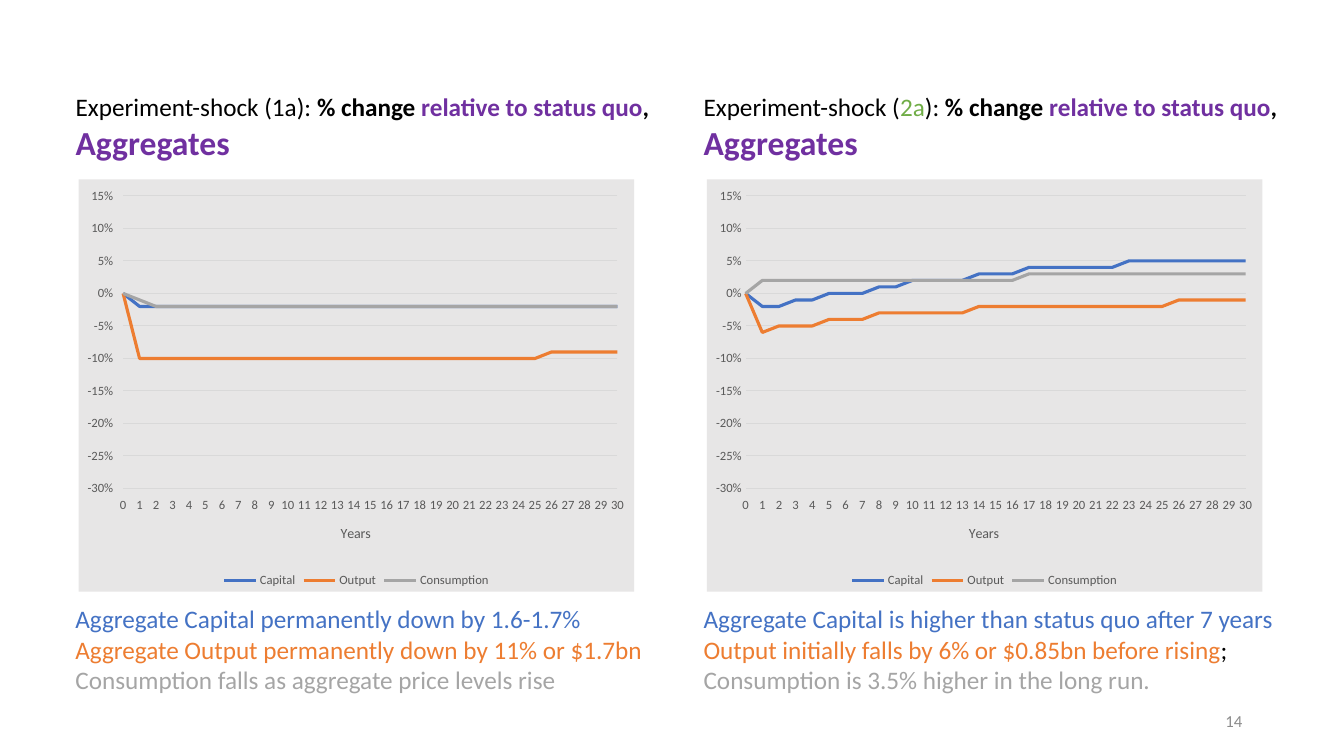
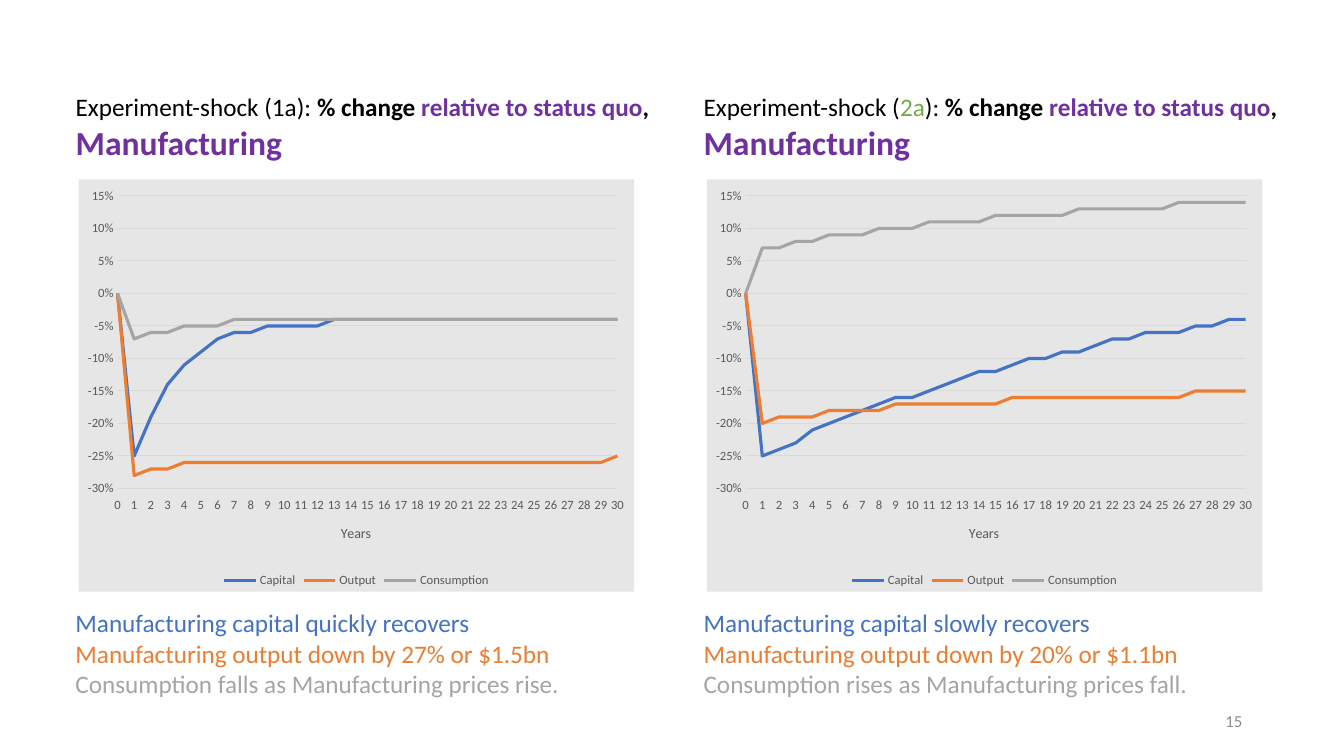
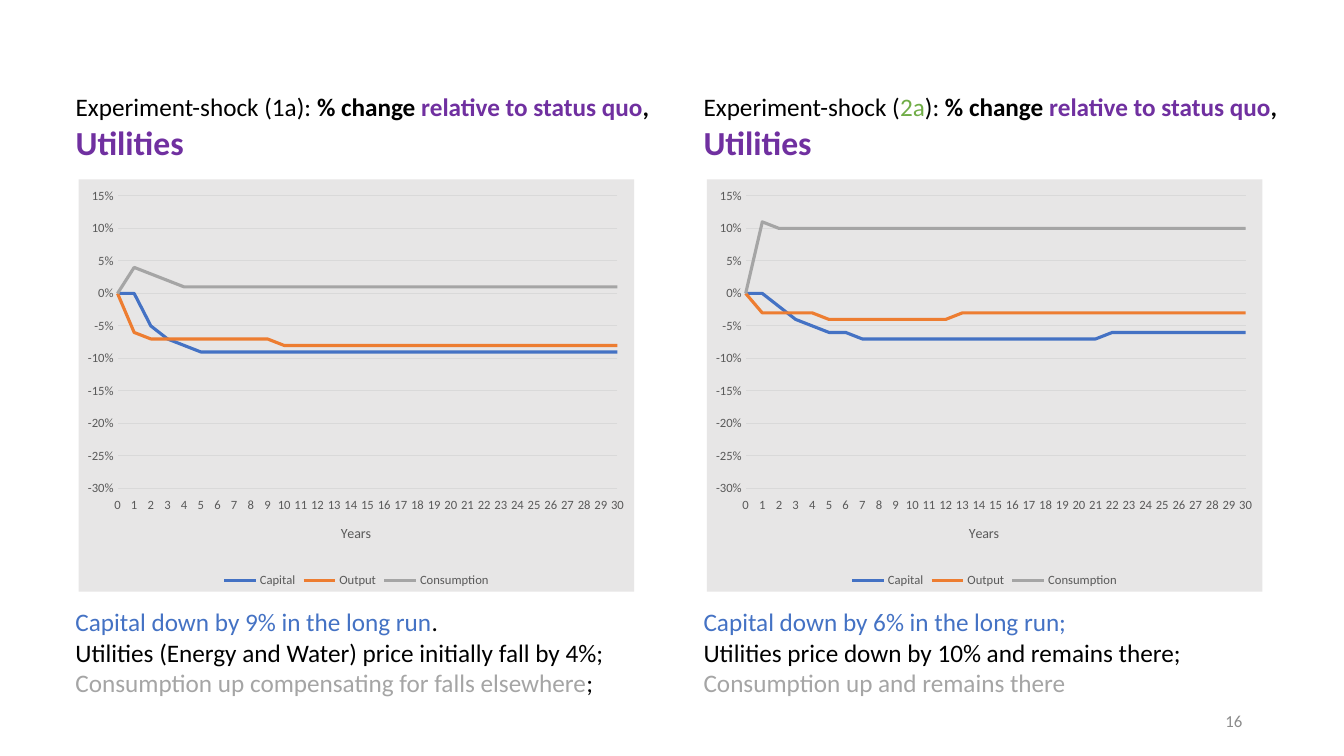
"""Build three slides that compare two shock experiments with line charts."""
from lxml import etree
from pptx import Presentation
from pptx.chart.data import CategoryChartData as ChartData
from pptx.dml.color import RGBColor as RGB
from pptx.enum.chart import XL_CHART_TYPE as Kind, XL_LEGEND_POSITION as Legend
from pptx.enum.chart import XL_TICK_LABEL_POSITION as Label, XL_TICK_MARK as Tick
from pptx.enum.text import MSO_ANCHOR as Anchor, MSO_AUTO_SIZE as Fit, PP_ALIGN as Align
from pptx.oxml import parse_xml
from pptx.oxml.ns import nsdecls, qn
from pptx.util import Inches, Pt

FONT = "Calibri"
BLACK = RGB(0, 0, 0)
BLUE = RGB(0x44, 0x72, 0xC4)
ORANGE = RGB(0xED, 0x7D, 0x31)
GRAY = RGB(0xA5, 0xA5, 0xA5)
PURPLE = RGB(0x70, 0x30, 0xA0)
GREEN = RGB(0x70, 0xAD, 0x47)
PANEL = RGB(0xE7, 0xE6, 0xE6)
GRID = RGB(0xD9, 0xD9, 0xD9)
INK = RGB(0x59, 0x59, 0x59)
PALE = RGB(0x8C, 0x8C, 0x8C)

LEFT, STEP = 0.65, 6.23
FIRST = 14
YEARS = [str(year) for year in range(31)]
SERIES = [("Capital", BLUE), ("Output", ORANGE), ("Consumption", GRAY)]
SHOCKS = [("1a", BLACK), ("2a", GREEN)]

SLIDES = [
    {
        "topic": "Aggregates",
        "top": 5.94,
        "sides": [
            {
                "tick": Tick.OUTSIDE,
                "notes": [
                    [("Aggregate Capital permanently down by 1.6-1.7%", BLUE)],
                    [("Aggregate Output permanently down by 11% or $1.7bn", ORANGE)],
                    [("Consumption falls as aggregate price levels rise", GRAY)],
                ],
                "percent": [
                    [0] + [-2] * 30,
                    [0] + [-10] * 25 + [-9] * 5,
                    [0, -1] + [-2] * 29,
                ],
            },
            {
                "tick": Tick.NONE,
                "notes": [
                    [("Aggregate Capital is higher than status quo after 7 years", BLUE)],
                    [("Output initially falls by 6% or $0.85bn before rising", ORANGE),
                     ("; ", BLACK),
                     ("Consumption is 3.5% higher in the long run.", GRAY)],
                ],
                "percent": [
                    [0, -2, -2, -1, -1, 0, 0, 0, 1, 1, 2, 2, 2, 2, 3, 3,
                     3, 4, 4, 4, 4, 4, 4, 5, 5, 5, 5, 5, 5, 5, 5],
                    [0, -6, -5, -5, -5, -4, -4, -4] + [-3] * 6 + [-2] * 12 + [-1] * 5,
                    [0] + [2] * 16 + [3] * 14,
                ],
            },
        ],
    },
    {
        "topic": "Manufacturing",
        "top": 5.98,
        "sides": [
            {
                "tick": Tick.NONE,
                "notes": [
                    [("Manufacturing capital quickly recovers", BLUE)],
                    [("Manufacturing output down by 27% or $1.5bn", ORANGE)],
                    [("Consumption falls as Manufacturing prices rise.", GRAY)],
                ],
                "percent": [
                    [0, -25, -19, -14, -11, -9, -7, -6, -6] + [-5] * 4 + [-4] * 18,
                    [0, -28, -27, -27] + [-26] * 26 + [-25],
                    [0, -7, -6, -6, -5, -5, -5] + [-4] * 24,
                ],
            },
            {
                "tick": Tick.NONE,
                "notes": [
                    [("Manufacturing capital slowly recovers", BLUE)],
                    [("Manufacturing output down by 20% or $1.1bn", ORANGE)],
                    [("Consumption rises as Manufacturing prices fall.", GRAY)],
                ],
                "percent": [
                    [0, -25, -24, -23, -21, -20, -19, -18, -17, -16, -16,
                     -15, -14, -13, -12, -12, -11, -10, -10, -9, -9,
                     -8, -7, -7, -6, -6, -6, -5, -5, -4, -4],
                    [0, -20, -19, -19, -19] + [-18] * 4 + [-17] * 7 + [-16] * 11 + [-15] * 4,
                    [0, 7, 7, 8, 8, 9, 9, 9, 10, 10, 10, 11, 11, 11, 11]
                    + [12] * 5 + [13] * 6 + [14] * 5,
                ],
            },
        ],
    },
    {
        "topic": "Utilities",
        "top": 5.97,
        "sides": [
            {
                "tick": Tick.NONE,
                "notes": [
                    [("Capital down by 9% in the long run", BLUE), (".", BLACK)],
                    [("Utilities (Energy and Water) price initially fall by 4%;", BLACK)],
                    [("Consumption up compensating for falls elsewhere", GRAY), (";", BLACK)],
                ],
                "percent": [
                    [0, 0, -5, -7, -8] + [-9] * 26,
                    [0, -6] + [-7] * 8 + [-8] * 21,
                    [0, 4, 3, 2] + [1] * 27,
                ],
            },
            {
                "tick": Tick.NONE,
                "notes": [
                    [("Capital down by 6% in the long run;", BLUE)],
                    [("Utilities price down by 10% and remains there;", BLACK)],
                    [("Consumption up and remains there", GRAY)],
                ],
                "percent": [
                    [0, 0, -2, -4, -5, -6, -6] + [-7] * 15 + [-6] * 9,
                    [0] + [-3] * 4 + [-4] * 8 + [-3] * 18,
                    [0, 11] + [10] * 29,
                ],
            },
        ],
    },
]


def place(shape, left, top, width, height):
    """Move and size a shape, in inches."""
    shape.left, shape.top = Inches(left), Inches(top)
    shape.width, shape.height = Inches(width), Inches(height)


def write(frame, lines, sizes, align=Align.LEFT):
    """Fill a text frame with lines of (text, colour[, bold]) runs."""
    for row, (line, size) in enumerate(zip(lines, sizes)):
        para = frame.paragraphs[0] if row == 0 else frame.add_paragraph()
        para.alignment = align
        para.font.name, para.font.size = FONT, Pt(size)
        for text, color, *bold in line:
            run = para.add_run()
            run.text = text
            run.font.color.rgb = color
            if bold:
                run.font.bold = bold[0]


def add_box(slide, *spot):
    """Add an empty text box."""
    return slide.shapes.add_textbox(*map(Inches, spot))


def add_head(shape, shock, topic):
    """Write the heading above one chart."""
    frame = shape.text_frame
    frame.word_wrap = False
    frame.auto_size = Fit.SHAPE_TO_FIT_TEXT
    frame.vertical_anchor = Anchor.TOP
    name, color = shock
    write(frame, [
        [("Experiment-shock (", BLACK), (name, color), ("): ", BLACK),
         ("% change ", BLACK, True), ("relative to status quo", PURPLE, True),
         (",", BLACK, True)],
        [(topic, PURPLE, True)],
    ], [18, 24])


def set_line(line, color, width):
    """Colour a line and set its width."""
    line.color.rgb, line.width = color, Pt(width)


def set_frame(chart, plot_left):
    """Fill the chart panel, fix the plot area and start lines on the axis."""
    root = chart.element
    root.find(qn("c:txPr")).addprevious(parse_xml(
        f'<c:spPr {nsdecls("c", "a")}><a:solidFill><a:srgbClr val="{PANEL}"/>'
        '</a:solidFill><a:ln><a:noFill/></a:ln></c:spPr>'))
    area = root.xpath(".//c:plotArea")[0]
    for old in area.findall(qn("c:layout")):
        area.remove(old)
    layout = etree.Element(qn("c:layout"))
    manual = etree.SubElement(layout, qn("c:manualLayout"))
    for tag, val in [("layoutTarget", "inner"), ("xMode", "edge"), ("yMode", "edge"),
                     ("x", plot_left), ("y", 0.04), ("w", 0.97 - plot_left), ("h", 0.71)]:
        etree.SubElement(manual, qn(f"c:{tag}")).set("val", str(val))
    area.insert(0, layout)
    for axis in area.findall(qn("c:valAx")):
        for old in axis.findall(qn("c:crossBetween")):
            axis.remove(old)
        cross = etree.Element(qn("c:crossBetween"))
        cross.set("val", "midCat")
        axis.find(qn("c:crosses")).addnext(cross)


def add_graph(slide, left, side):
    """Add one line chart."""
    data = ChartData(number_format="0%")
    data.categories = YEARS
    for (name, _), vals in zip(SERIES, side["percent"]):
        data.add_series(name, [val / 100 for val in vals])
    spot = map(Inches, (left, 1.78, 5.51, 4.09))
    chart = slide.shapes.add_chart(Kind.LINE, *spot, data).chart
    chart.has_title = False
    chart.font.name, chart.font.size = FONT, Pt(9)
    chart.font.color.rgb = INK
    chart.has_legend = True
    chart.legend.position = Legend.BOTTOM
    chart.legend.include_in_layout = False
    chart.plots[0].vary_by_categories = False
    for line, (_, color) in zip(chart.plots[0].series, SERIES):
        line.smooth = False
        set_line(line.format.line, color, 2.25)

    years = chart.category_axis
    years.tick_label_position = Label.LOW
    years.major_tick_mark = years.minor_tick_mark = Tick.NONE
    years.has_major_gridlines = False
    set_line(years.format.line, GRID, 0.75)
    para = years.axis_title.text_frame.paragraphs[0]
    para.text = "Years"
    para.font.name, para.font.size, para.font.bold = FONT, Pt(10), False
    para.font.color.rgb = INK

    change = chart.value_axis
    change.minimum_scale, change.maximum_scale = -0.3, 0.15
    change.major_unit = 0.05
    change.major_tick_mark, change.minor_tick_mark = side["tick"], Tick.NONE
    change.tick_labels.number_format = "0%"
    change.tick_labels.number_format_is_linked = False
    change.format.line.fill.background()
    change.has_major_gridlines = True
    set_line(change.major_gridlines.format.line, GRID, 0.75)
    set_frame(chart, 0.07 if side["tick"] == Tick.NONE else 0.08)


def main():
    """Build and save the deck."""
    deck = Presentation()
    deck.slide_width, deck.slide_height = Inches(13.33), Inches(7.5)
    for number, page in enumerate(SLIDES, FIRST):
        slide = deck.slides.add_slide(deck.slide_layouts[5])
        for col, (shock, side) in enumerate(zip(SHOCKS, page["sides"])):
            left = LEFT + col * STEP
            spot = (left, 0.86, 5.94, 0.81)
            head = add_box(slide, *spot) if col else slide.shapes.title
            place(head, *spot)
            add_head(head, shock, page["topic"])
            add_graph(slide, left + 0.13, side)
            note = add_box(slide, left, page["top"], 6.1, 1.01).text_frame
            note.word_wrap = True
            write(note, side["notes"], [18] * len(side["notes"]))
        foot = add_box(slide, 9.42, 6.95, 3, 0.4).text_frame
        foot.word_wrap = True
        foot.vertical_anchor = Anchor.MIDDLE
        write(foot, [[(str(number), PALE)]], [12], Align.RIGHT)
    deck.save("out.pptx")


if __name__ == "__main__":
    main()
